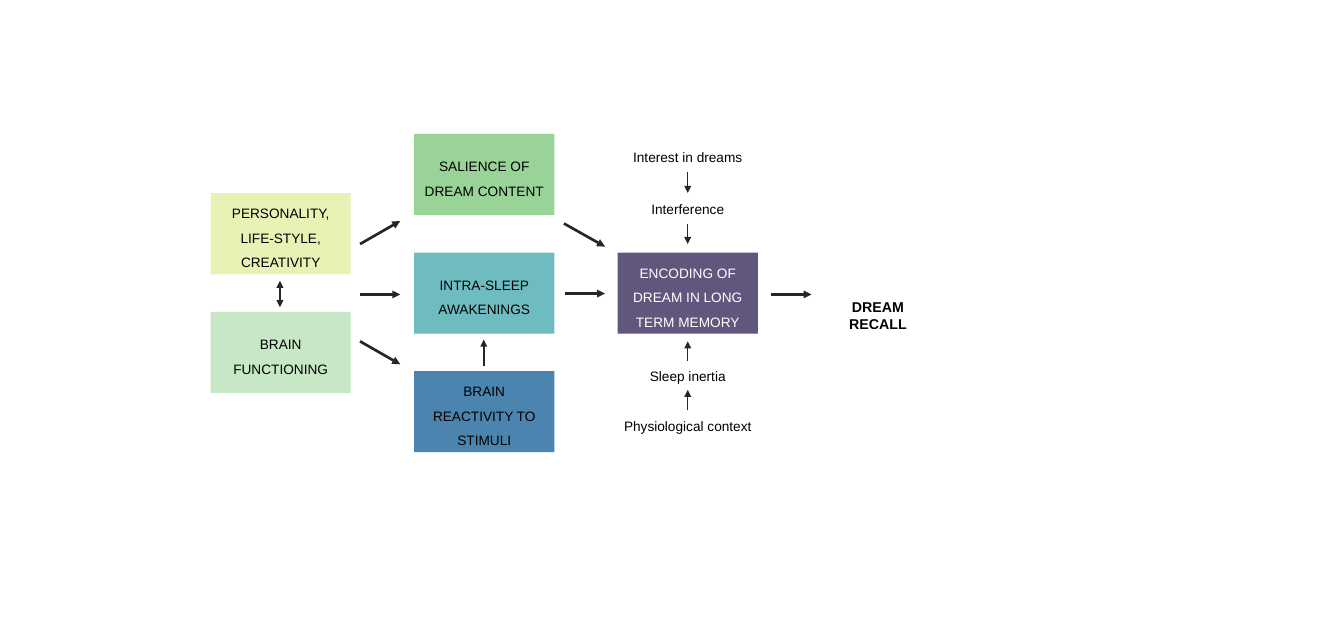
from lxml import etree
from pptx import Presentation
from pptx.dml.color import RGBColor
from pptx.enum.shapes import MSO_CONNECTOR, MSO_SHAPE
from pptx.enum.text import MSO_ANCHOR, PP_ALIGN
from pptx.oxml.ns import qn
from pptx.util import Pt

RECT = MSO_SHAPE.RECTANGLE
LINE = MSO_CONNECTOR.STRAIGHT
TOP, MIDDLE = MSO_ANCHOR.TOP, MSO_ANCHOR.MIDDLE
CENTER = PP_ALIGN.CENTER

BLACK = RGBColor(0x00, 0x00, 0x00)
WHITE = RGBColor(0xFF, 0xFF, 0xFF)
INK = RGBColor(0x26, 0x26, 0x26)
LEMON = RGBColor(0xE9, 0xF2, 0xB5)
MINT = RGBColor(0xC7, 0xE7, 0xC6)
GREEN = RGBColor(0x99, 0xD3, 0x98)
TEAL = RGBColor(0x6E, 0xBC, 0xBF)
BLUE = RGBColor(0x4B, 0x84, 0xAF)
PURPLE = RGBColor(0x61, 0x56, 0x7C)

WIDTH, HEIGHT = 118.2, 68.4
LEFT, COL = 177.8, 171.7
FIRST, ROW = 113, 100.1

prs = Presentation()
prs.slide_width, prs.slide_height = Pt(1134), Pt(540)
slide = prs.slides.add_slide(prs.slide_layouts[6])
shapes = slide.shapes


def write(shape, text, size=11.5, color=BLACK, bold=False, anchor=TOP, space=1):
    frame = shape.text_frame
    frame.word_wrap = True
    frame.vertical_anchor = anchor
    para = frame.paragraphs[0]
    para.alignment = CENTER
    para.line_spacing = space
    run = para.add_run()
    run.text = text
    run.font.name = "Arial"
    run.font.size = Pt(size)
    run.font.bold = bold
    run.font.color.rgb = color


def block(left, top, width, height, fill):
    shape = shapes.add_shape(RECT, Pt(left), Pt(top), Pt(width), Pt(height))
    shape.shadow.inherit = False
    shape.fill.solid()
    shape.fill.fore_color.rgb = fill
    shape.line.fill.background()
    return shape


boxes = [
    (0, 0.5, "PERSONALITY, LIFE-STYLE, CREATIVITY", LEMON, BLACK),
    (0, 1.5, "BRAIN FUNCTIONING", MINT, BLACK),
    (1, 0, "SALIENCE OF DREAM CONTENT", GREEN, BLACK),
    (1, 1, "INTRA-SLEEP AWAKENINGS", TEAL, BLACK),
    (1, 2, "BRAIN REACTIVITY TO STIMULI", BLUE, BLACK),
    (2, 1, "ENCODING OF DREAM IN LONG TERM MEMORY", PURPLE, WHITE),
]
for col, row, text, fill, color in boxes:
    box = block(LEFT + col * COL, FIRST + row * ROW, WIDTH, HEIGHT, fill)
    write(box, text, color=color, anchor=MIDDLE, space=1.5)

recall = block(692.6, 248.4, 96.5, 33.8, WHITE)
write(recall, "DREAM RECALL", size=12, bold=True)

mid = LEFT + 2 * COL + WIDTH / 2
labels = [
    ("Interest in dreams", 121.7),
    ("Interference", 165.6),
    ("Sleep inertia", 306.7),
    ("Physiological context", 349.2),
]
for text, top in labels:
    label = shapes.add_textbox(Pt(mid - 68.4), Pt(top), Pt(136.8), Pt(20.9))
    write(label, text)

arrows = [
    (303.8, 205.9, 337.7, 186.5, 2.25, False),
    (303.8, 248.4, 337.7, 248.4, 2.25, False),
    (303.8, 288, 337.7, 307.4, 2.25, False),
    (475.9, 188.6, 510.5, 208.1, 2.25, False),
    (476.6, 247.7, 510.5, 247.7, 2.25, False),
    (650.9, 248.4, 684.7, 248.4, 2.25, False),
    (236.2, 259.2, 236.2, 236.9, 1.5, True),
    (408.2, 308.9, 408.2, 286.6, 1.5, False),
    (mid, 145.4, mid, 162.7, 1, False),
    (mid, 188.6, mid, 205.9, 1, False),
    (mid, 304.6, mid, 288, 1, False),
    (mid, 346.3, mid, 329, 1, False),
]
for x1, y1, x2, y2, weight, double in arrows:
    arrow = shapes.add_connector(LINE, Pt(x1), Pt(y1), Pt(x2), Pt(y2))
    arrow.line.color.rgb = INK
    arrow.line.width = Pt(weight)
    stroke = arrow.line._get_or_add_ln()
    for end in ["a:headEnd", "a:tailEnd"] if double else ["a:tailEnd"]:
        etree.SubElement(stroke, qn(end), type="triangle")
    etree.SubElement(arrow._element.spPr, qn("a:effectLst"))

prs.save("out.pptx")
